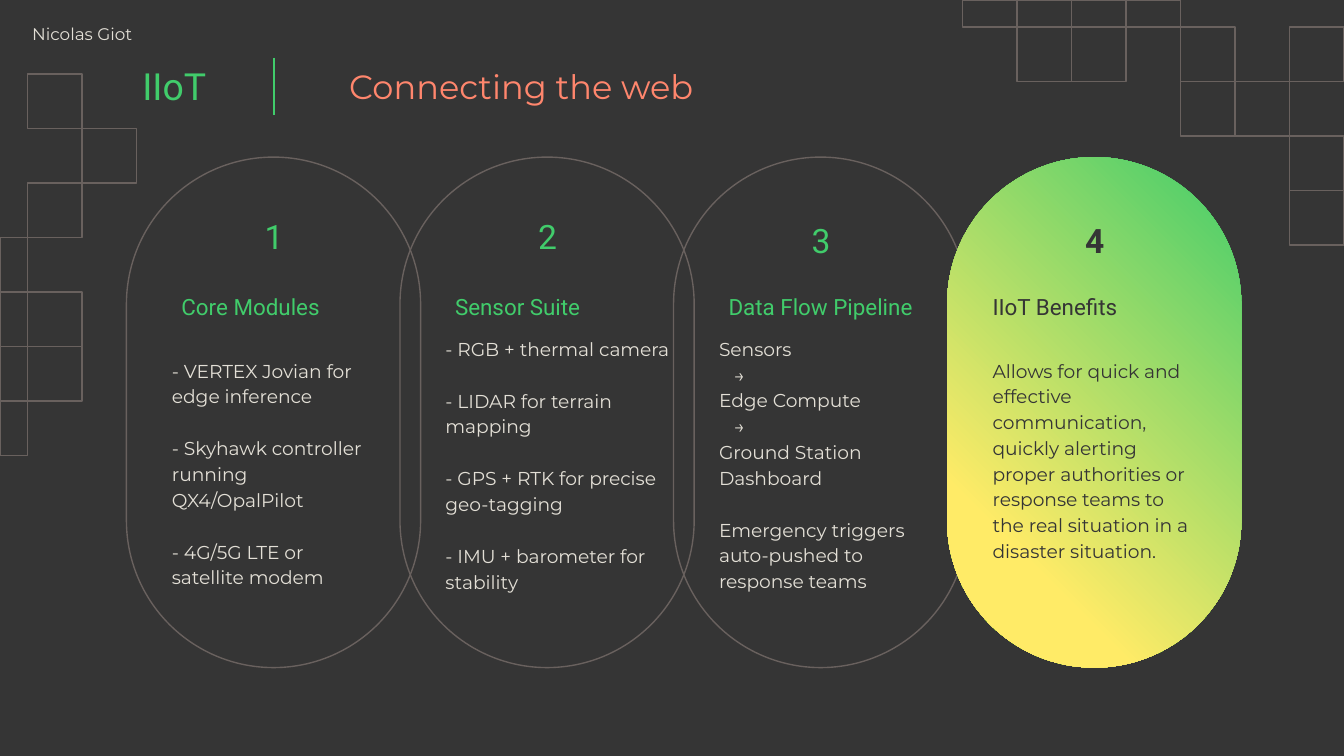
from dataclasses import dataclass
from typing import Any, NamedTuple

from lxml import etree
from pptx import Presentation
from pptx import util as u
from pptx.dml import color
from pptx.enum import shapes, text
from pptx.oxml import ns

BACKGROUND, GREY, GREEN = "353535", "69615E", "41CC6B"
CORAL, CREAM, YELLOW = "FF866D", "E3DFD6", "FFEB67"
CELL = 1.03
COLUMN_PITCH = 5.17
BLANK_LINE = 14


class Area(NamedTuple):
    left: float
    top: float
    width: float
    height: float


class Line(NamedTuple):
    words: str
    gap: float = 0
    indent: float = 0


class Style(NamedTuple):
    name: str
    size: float
    ink: str
    bold: bool = False
    spacing: float = 1.0
    align: Any = text.PP_ALIGN.LEFT


@dataclass
class Column:
    number_top: float
    heading: str
    heading_indent: float
    body_top: float
    body_width: float
    lines: list[Line]
    accent: str = GREEN
    ink: str = CREAM
    bold: bool = False


@dataclass
class Grid:
    left: float
    top: float
    cells: list[tuple[int, int]]


GRIDS = [
    Grid(0.52, 1.4, [(0, 0), (1, 1), (0, 2), (-1, 3), (-1, 4), (0, 4),
                     (-1, 5), (0, 5), (-1, 6)]),
    Grid(18.19, 0.51, [(0, -1), (1, -1), (2, -1), (3, -1), (1, 0), (2, 0),
                       (4, 0), (6, 0), (4, 1), (5, 1), (6, 2), (6, 3)]),
]

COLUMNS = [
    Column(3.84, "Core Modules", 0.18, 6.48, 4.34, [
        Line("- VERTEX Jovian for edge inference"),
        Line("- Skyhawk controller running QX4/OpalPilot", BLANK_LINE),
        Line("- 4G/5G LTE or satellite modem", BLANK_LINE),
    ]),
    Column(3.84, "Sensor Suite", 0.18, 6.07, 5.05, [
        Line("- RGB + thermal camera"),
        Line("- LIDAR for terrain mapping", BLANK_LINE),
        Line("- GPS + RTK for precise geo-tagging", BLANK_LINE),
        Line("- IMU + barometer for stability", BLANK_LINE),
    ]),
    Column(3.91, "Data Flow Pipeline", 0.18, 6.07, 4.34, [
        Line("Sensors"),
        Line("→", indent=0.28),
        Line("Edge Compute"),
        Line("→", indent=0.28),
        Line("Ground Station Dashboard"),
        Line("Emergency triggers auto-pushed to response teams", BLANK_LINE),
    ]),
    Column(3.91, "IIoT Benefits", 0, 6.48, 4.34, [
        Line("Allows for quick and effective communication, quickly alerting "
             "proper authorities or response teams to the real situation in a "
             "disaster situation."),
    ], BACKGROUND, BACKGROUND, True),
]


def rgb(value: str) -> color.RGBColor:
    return color.RGBColor.from_string(value)


def assign(target: Any, values: dict[str, Any]) -> None:
    for key, value in values.items():
        setattr(target, key, value)


def place(area: Area) -> list[u.Length]:
    return [u.Cm(length) for length in area]


def draw_outline(page: Any, preset: Any, area: Area) -> Any:
    shape = page.shapes.add_shape(preset, *place(area))
    shape.shadow.inherit = False
    shape.fill.background()
    shape.line.color.rgb = rgb(GREY)
    shape.line.width = u.Pt(0.75)
    return shape


def draw_grid(page: Any, grid: Grid) -> None:
    for column, row in grid.cells:
        left, top = grid.left + column * CELL, grid.top + row * CELL
        start, upper = max(left, 0), max(top, 0)
        area = Area(start, upper, left + CELL - start, top + CELL - upper)
        draw_outline(page, shapes.MSO_SHAPE.RECTANGLE, area)


def draw_pill(page: Any, left: float) -> Any:
    pill = draw_outline(page, shapes.MSO_SHAPE.ROUNDED_RECTANGLE,
                        Area(left, 2.97, 5.56, 9.65))
    pill.adjustments[0] = 0.5
    return pill


def fill_gradient(pill: Any) -> None:
    pill.line.fill.background()
    pill.fill.gradient()
    pill.fill.gradient_angle = 225
    for stop, (position, ink) in zip(pill.fill.gradient_stops,
                                     [(0, GREEN), (0.77, YELLOW)]):
        stop.position = position
        stop.color.rgb = rgb(ink)


def draw_divider(page: Any) -> None:
    divider = page.shapes.add_connector(
        shapes.MSO_CONNECTOR.STRAIGHT,
        u.Cm(5.18), u.Cm(1.09), u.Cm(5.18), u.Cm(2.18))
    divider.line.color.rgb = rgb(GREEN)
    divider.line.width = u.Pt(1.5)
    etree.SubElement(divider._element.spPr, ns.qn("a:effectLst"))


def write(page: Any, area: Area, lines: list[Line], style: Style,
          inset: float = 0.25, anchor: Any = text.MSO_ANCHOR.TOP) -> None:
    frame = page.shapes.add_textbox(*place(area)).text_frame
    assign(frame, {
        "word_wrap": True, "vertical_anchor": anchor,
        "margin_left": u.Cm(inset), "margin_right": u.Cm(0.25),
        "margin_top": u.Cm(0.25), "margin_bottom": u.Cm(0.25)})
    for index, line in enumerate(lines):
        para = frame.add_paragraph() if index else frame.paragraphs[0]
        assign(para, {"alignment": style.align, "line_spacing": style.spacing,
                      "space_before": u.Pt(line.gap)})
        para._p.get_or_add_pPr().set("marL", str(u.Cm(line.indent)))
        span = para.add_run()
        span.text = line.words
        assign(span.font, {"name": style.name, "size": u.Pt(style.size),
                           "bold": style.bold})
        span.font.color.rgb = rgb(style.ink)


def draw_column(page: Any, column: Column, index: int) -> None:
    shift = index * COLUMN_PITCH
    write(page, Area(4.52 + shift, column.number_top, 1.32, 1.09),
          [Line(str(index + 1))],
          Style("Roboto", 18, column.accent, column.bold,
                align=text.PP_ALIGN.CENTER))
    write(page, Area(3 + shift, 5.21, 4.34, 1.27),
          [Line(column.heading, indent=column.heading_indent)],
          Style("Roboto", 12, column.accent, spacing=1.15))
    write(page, Area(3 + shift, column.body_top, column.body_width, 4.57),
          column.lines, Style("Montserrat", 10, column.ink, spacing=1.15))


def main() -> None:
    deck = Presentation()
    assign(deck, {"slide_width": u.Cm(25.4), "slide_height": u.Cm(14.29)})
    page = deck.slides.add_slide(deck.slide_layouts[6])
    page.background.fill.solid()
    page.background.fill.fore_color.rgb = rgb(BACKGROUND)
    for grid in GRIDS:
        draw_grid(page, grid)
    draw_divider(page)
    pills = [draw_pill(page, 2.39 + index * COLUMN_PITCH)
             for index in range(len(COLUMNS))]
    fill_gradient(pills[-1])
    write(page, Area(0.1, 0.25, 4.39, 0.53), [Line("Nicolas Giot")],
          Style("Montserrat", 9, CREAM), 0.51)
    write(page, Area(0.1, 0.89, 5.05, 1.45), [Line("IIoT", indent=2.08)],
          Style("Roboto", 20, GREEN), 0.51, text.MSO_ANCHOR.MIDDLE)
    write(page, Area(6.05, 0.89, 10.85, 1.45),
          [Line("Connecting the web", indent=0.3)],
          Style("Montserrat", 18, CORAL, spacing=1.15))
    for index, column in enumerate(COLUMNS):
        draw_column(page, column, index)
    deck.save("out.pptx")


if __name__ == "__main__":
    main()
